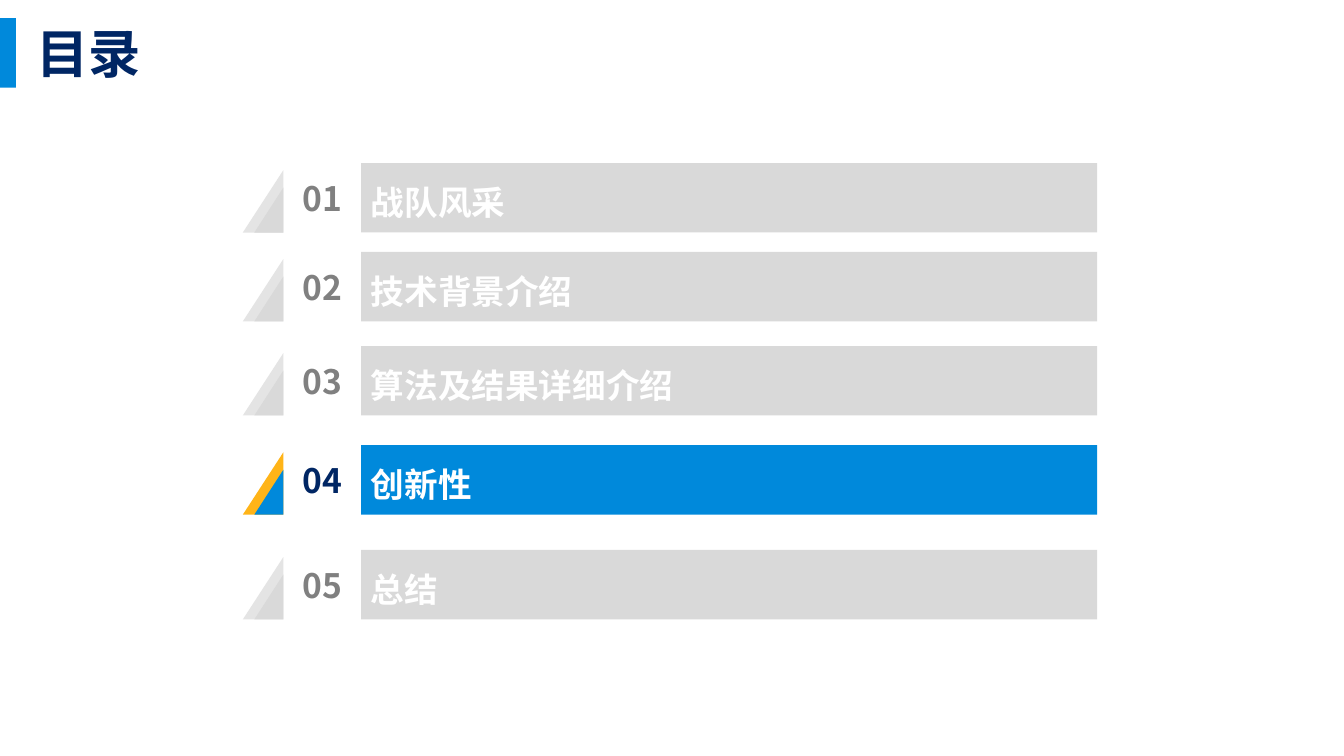
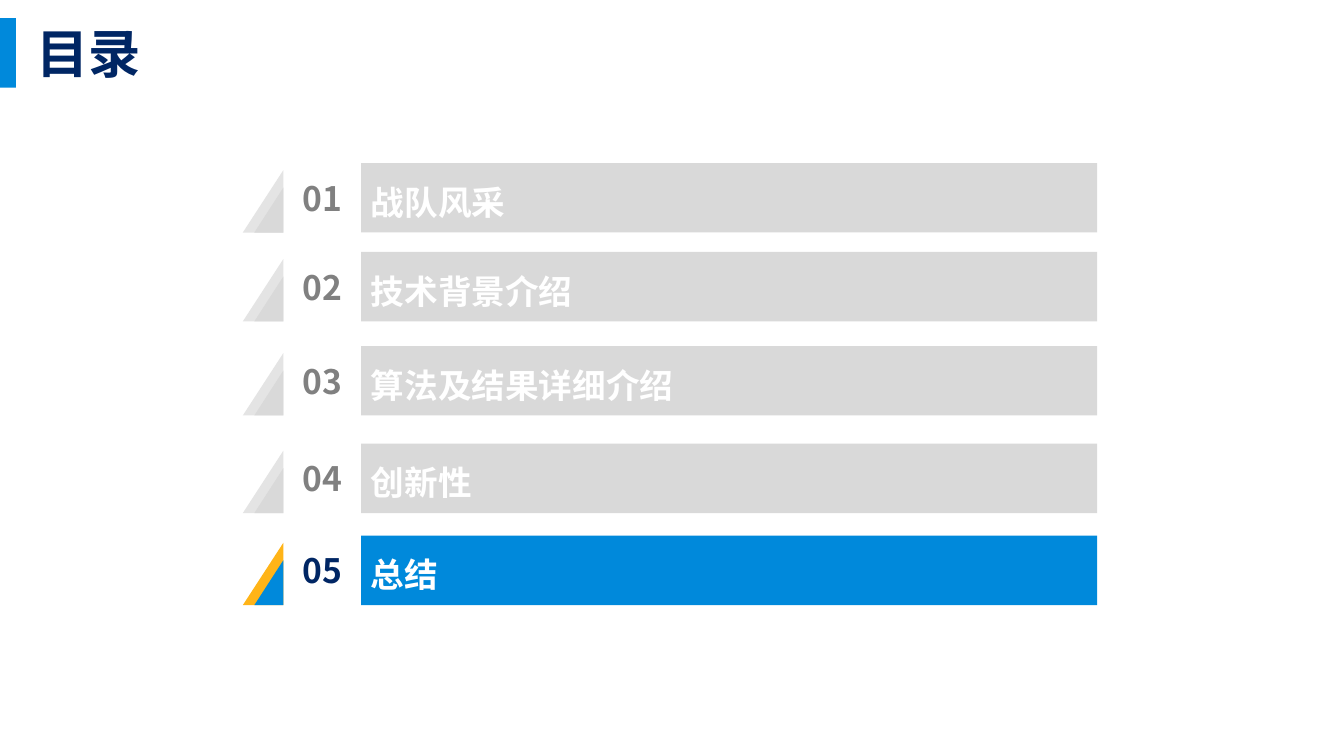
from pptx import Presentation
from pptx.dml.color import RGBColor
from pptx.enum.shapes import MSO_SHAPE as Shape
from pptx.enum.text import MSO_ANCHOR as Anchor, PP_ALIGN as Align
from pptx.oxml.ns import qn
from pptx.util import Cm, Pt
from lxml.etree import SubElement

# Colours and font
BLUE = RGBColor(0x00, 0x89, 0xDB)
NAVY = RGBColor(0x00, 0x26, 0x64)
AMBER = RGBColor(0xFF, 0xB4, 0x18)
PALE_GREY = RGBColor(0xE4, 0xE4, 0xE4)
LIGHT_GREY = RGBColor(0xD9, 0xD9, 0xD9)
MID_GREY = RGBColor(0x80, 0x80, 0x80)
WHITE = RGBColor(0xFF, 0xFF, 0xFF)
FONT = "Noto Sans CJK SC"

# Row geometry, in centimetres
BAR_LEFT, BAR_WIDTH, ROW_HEIGHT = 9.1, 18.55, 1.75
NUMBER_WIDTH = 1.96
OUTER_TRIANGLE = (1.02, 1.57)
INNER_TRIANGLE = (0.73, 1.13)

# Agenda: the chapters, then the active chapter and row tops of each slide
CHAPTERS = ["战队风采", "技术背景介绍", "算法及结果详细介绍", "创新性", "总结"]
AGENDAS = [
    (4, [4.11, 6.35, 8.72, 11.22, 13.86]),
    (5, [4.11, 6.35, 8.72, 11.18, 13.5]),
]


def paint(shape, color):
    shape.shadow.inherit = False
    shape.fill.solid()
    shape.fill.fore_color.rgb = color
    shape.line.fill.background()


def add_bar(shapes, left, top, width, height, color):
    bar = shapes.add_shape(Shape.RECTANGLE, Cm(left), Cm(top), Cm(width), Cm(height))
    paint(bar, color)
    return bar


def add_triangle(shapes, right, bottom, size, color):
    """Draw a right triangle whose right angle is at (right, bottom)."""
    width, height = size
    builder = shapes.build_freeform(Cm(right), Cm(bottom - height))
    builder.add_line_segments([(Cm(right), Cm(bottom)), (Cm(right - width), Cm(bottom))])
    paint(builder.convert_to_shape(), color)


def write(box, text, size, color, align=Align.LEFT):
    frame = box.text_frame
    frame.word_wrap = True
    frame.vertical_anchor = Anchor.MIDDLE
    para = frame.paragraphs[0]
    para.text = text
    para.alignment = align
    font = para.font
    font.size, font.bold, font.name = Pt(size), True, FONT
    font.color.rgb = color
    # East Asian characters take their typeface from a separate element
    defaults = para._p.pPr.find(qn("a:defRPr"))
    SubElement(defaults, qn("a:ea")).set("typeface", FONT)
    return para


def add_title(page, text):
    add_bar(page.shapes, 0, 0.46, 0.4, ROW_HEIGHT, BLUE)
    box = page.shapes.add_textbox(Cm(0.66), Cm(0.46), Cm(28), Cm(ROW_HEIGHT))
    write(box, text, 37.4, NAVY)


def add_chapter(page, number, chapter, top, active):
    edge, main, label = (AMBER, BLUE, NAVY) if active else (PALE_GREY, LIGHT_GREY, MID_GREY)
    shapes = page.shapes.add_group_shape().shapes
    number_left, bottom = BAR_LEFT - NUMBER_WIDTH, top + ROW_HEIGHT

    # Triangle marker
    add_triangle(shapes, number_left, bottom, OUTER_TRIANGLE, edge)
    add_triangle(shapes, number_left, bottom, INNER_TRIANGLE, main)

    # Chapter number
    box = shapes.add_textbox(Cm(number_left), Cm(top), Cm(NUMBER_WIDTH), Cm(ROW_HEIGHT))
    frame = box.text_frame
    frame.margin_left = frame.margin_right = frame.margin_top = frame.margin_bottom = 0
    write(box, f"{number:02}", 24, label, Align.CENTER)

    # Chapter name
    bar = add_bar(shapes, BAR_LEFT, top, BAR_WIDTH, ROW_HEIGHT, main)
    write(bar, chapter, 24, WHITE).line_spacing = 1.2


def add_agenda(deck, active, tops):
    page = deck.slides.add_slide(deck.slide_layouts[6])
    add_title(page, "目录")
    for number, (chapter, top) in enumerate(zip(CHAPTERS, tops), start=1):
        add_chapter(page, number, chapter, top, number == active)


def main():
    deck = Presentation()
    deck.slide_width, deck.slide_height = Cm(33.87), Cm(19.05)
    for active, tops in AGENDAS:
        add_agenda(deck, active, tops)
    deck.save("out.pptx")


if __name__ == "__main__":
    main()
